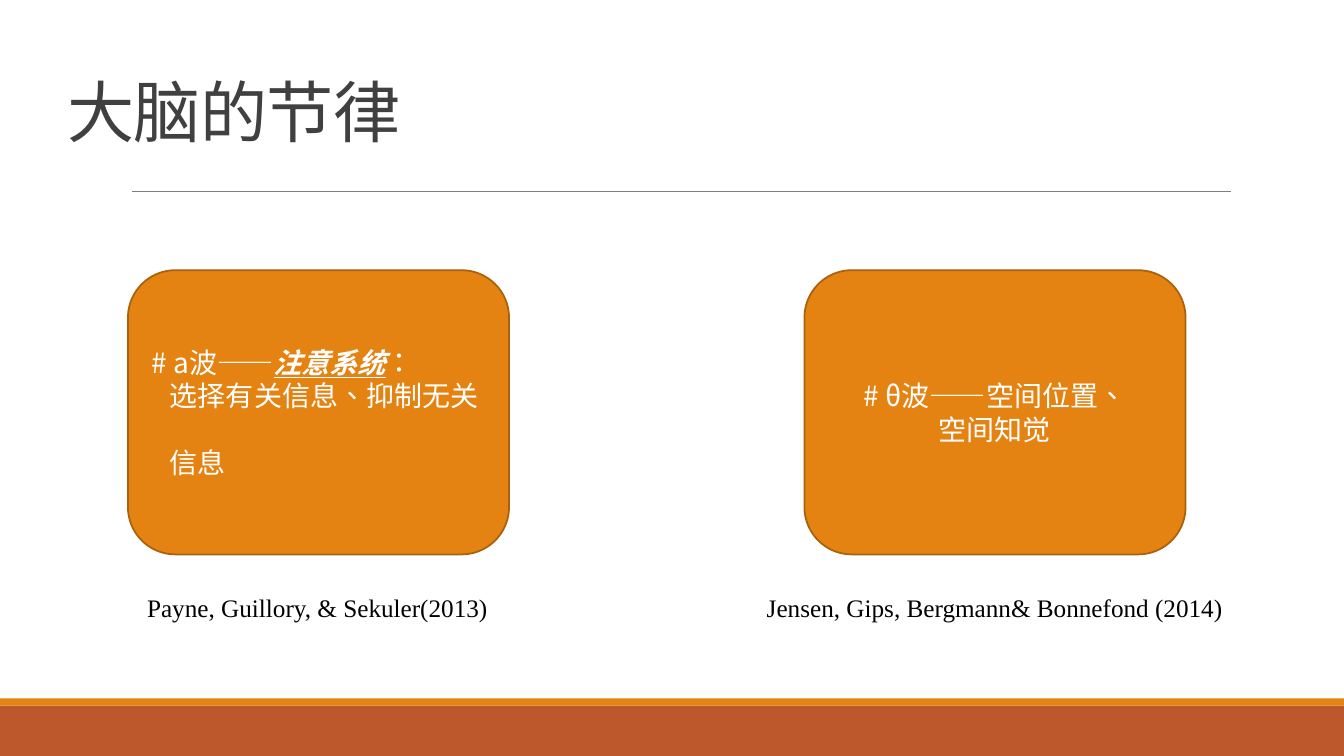
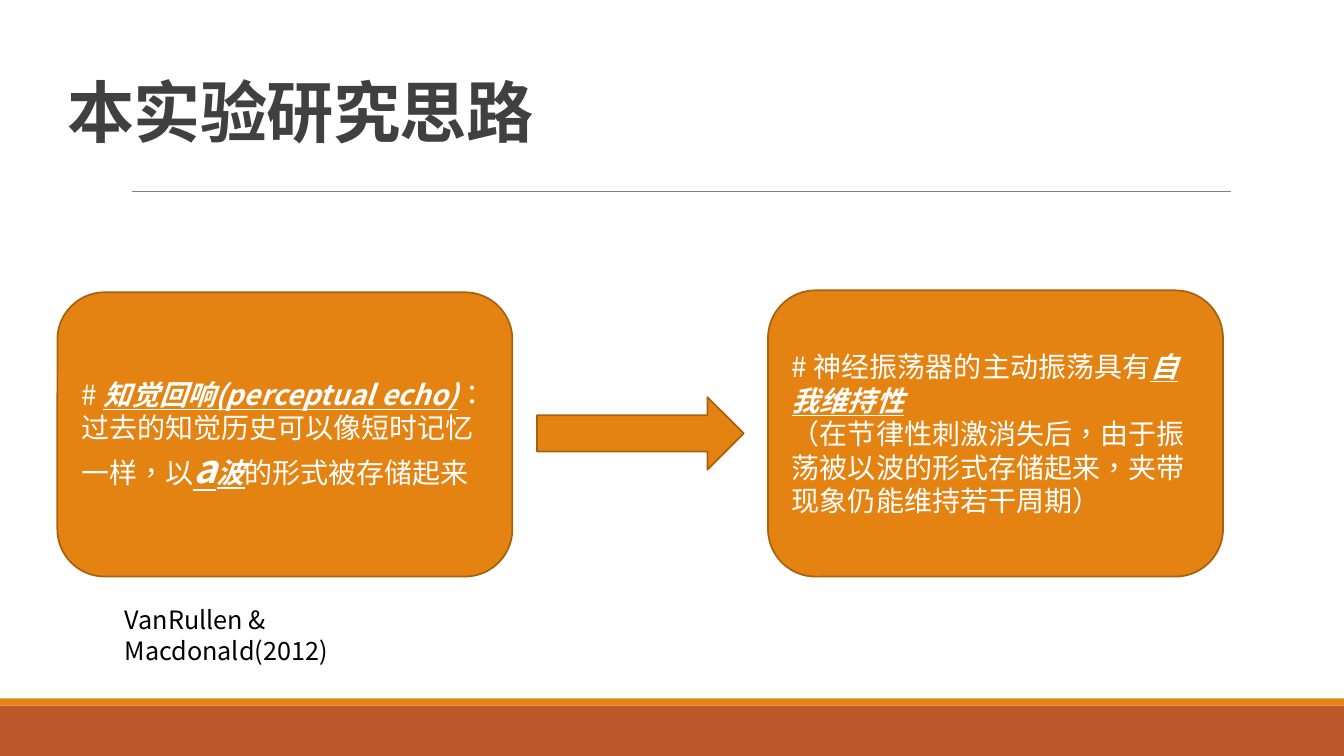
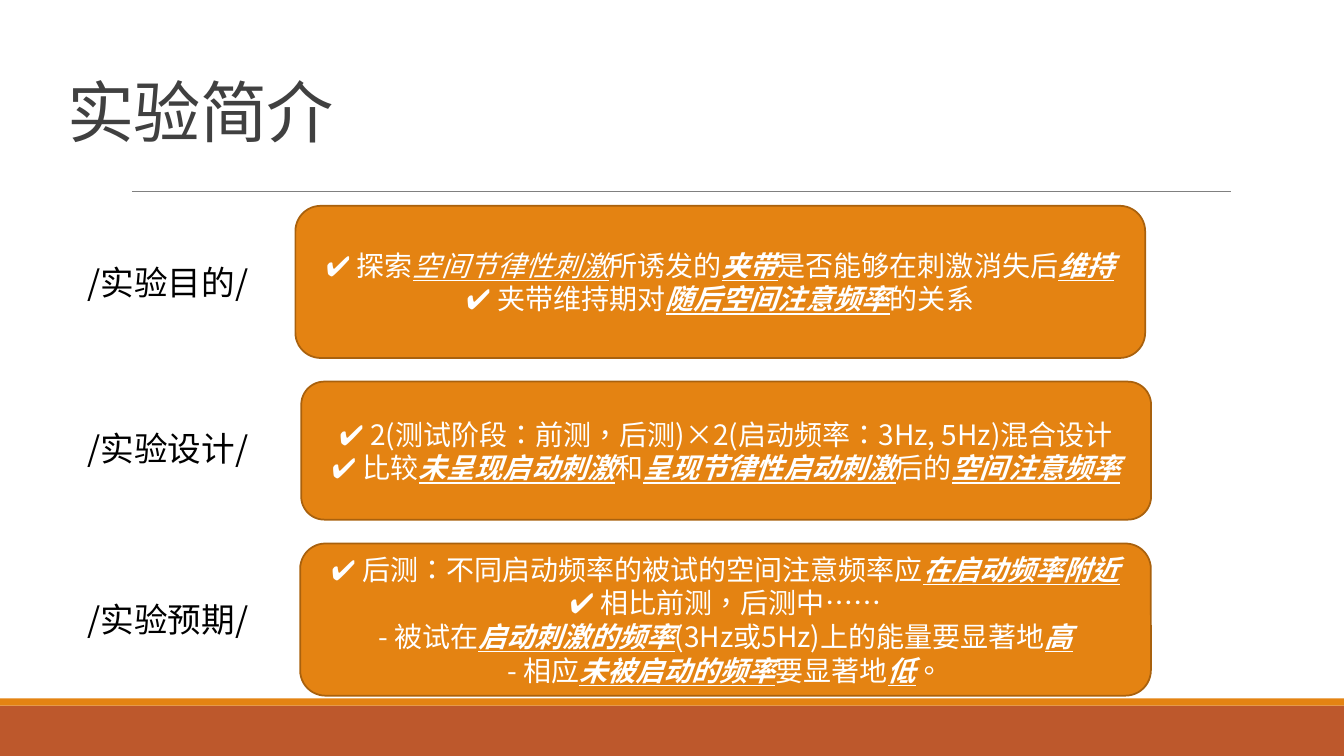
import pptx
import pptx.util
import pptx.dml.color
import pptx.enum.lang
import pptx.enum.shapes
import pptx.enum.text
from lxml import etree
from dataclasses import dataclass

Pt = pptx.util.Pt
Shape = pptx.enum.shapes.MSO_SHAPE
Align = pptx.enum.text.PP_ALIGN
Anchor = pptx.enum.text.MSO_ANCHOR
Lang = pptx.enum.lang.MSO_LANGUAGE_ID


@dataclass(frozen=True)
class Theme:
    rust: str = "BD582C"
    amber: str = "E48312"
    edge: str = "A9610D"
    rule: str = "808080"
    head: str = "404040"
    ink: str = "000000"
    white: str = "FFFFFF"
    sans: str = "Noto Sans CJK SC"
    latin: str = "Calibri"
    serif: str = "Times New Roman"
    title: int = 48
    large: int = 28
    label: int = 24
    body: int = 20
    cite: int = 18


T = Theme()
WIDE, HIGH = 960, 540

# A paragraph is a list of runs: plain text, or (text, style).
# Styles: "key" is bold italic underlined, "soft" lacks the bold, "big" is a larger key.
SLIDES = [
    {
        "title": ("大脑的节律", T.latin, False),
        "cards": [
            ((91.4, 193, 272.2, 203), Align.LEFT, [
                ["# a波——", ("注意系统", "key"), "："],
                ["选择有关信息、抑制无关"],
                ["信息"],
            ], {1: (13, 0), 2: (13, 24)}),
            ((574.6, 193, 272.2, 203), Align.CENTER, [
                ["# θ波——空间位置、"],
                ["空间知觉"],
            ], {}),
        ],
        "notes": [
            ((98, 419.8, 260, 29), "Payne, Guillory, & Sekuler(2013)", T.serif, T.cite, Align.JUSTIFY),
            ((540.6, 419.8, 342, 29), "Jensen, Gips, Bergmann& Bonnefond (2014)",
             T.serif, T.cite, Align.JUSTIFY),
        ],
    },
    {
        "title": ("本实验研究思路", T.sans, True),
        "cards": [
            ((548.6, 207.4, 325, 204.5), Align.LEFT, [
                ["# 神经振荡器的主动振荡具有", ("自我维持性", "key")],
                ["（在节律性刺激消失后，由于振荡被以波的形式存储起来，夹带现象仍能维持若干周期）"],
            ], {}),
            ((41, 208.8, 325, 203), Align.LEFT, [
                ["# ", ("知觉回响(perceptual echo)", "key"),
                 "：过去的知觉历史可以像短时记忆一样，以", ("a", "big"), ("波", "key"),
                 "的形式被存储起来"],
            ], {}),
        ],
        "notes": [
            ((82, 428.4, 242.6, 29), "VanRullen & Macdonald(2012)", T.sans, T.cite, Align.LEFT),
        ],
        "arrow": (383.6, 283.7, 147.6, 51.8),
    },
    {
        "title": ("实验简介", T.latin, False),
        "cards": [
            ((211, 147, 607, 108.7), Align.CENTER, [
                ["✔ 探索", ("空间节律性刺激", "soft"), "所诱发的", ("夹带", "key"),
                 "是否能够在刺激消失后", ("维持", "key")],
                ["✔ 夹带维持期对", ("随后空间注意频率", "key"), "的关系"],
            ], {}),
            ((215.2, 272.6, 607, 98.6), Align.CENTER, [
                ["✔ 2(测试阶段：前测，后测)×2(启动频率：3Hz, 5Hz)混合设计"],
                ["✔ 比较", ("未呈现启动刺激", "key"), "和", ("呈现节律性启动刺激", "key"),
                 "后的", ("空间注意频率", "key")],
            ], {}),
            ((214.4, 388.2, 607.7, 108.7), Align.CENTER, [
                ["✔ 后测：不同启动频率的被试的空间注意频率应", ("在启动频率附近", "key")],
                ["✔ 相比前测，后测中⋯⋯"],
                ["- 被试在", ("启动刺激的频率", "key"), "(3Hz或5Hz)上的能量要显著地", ("高", "key")],
                ["- 相应", ("未被启动的频率", "key"), "要显著地", ("低", "key"), "。"],
            ], {}),
        ],
        "notes": [
            ((55.4, top, 134.6, 36), text, T.sans, T.label, Align.LEFT)
            for top, text in ((183.6, "/实验目的/"), (302.4, "/实验设计/"), (424, "/实验预期/"))
        ],
    },
]


def rgb(code):
    return pptx.dml.color.RGBColor.from_string(code)


def dress(run, face, size, color, bold=False):
    """Set the type of a run for both Latin and Chinese letters."""
    font = run.font
    font.name, font.size, font.bold = face, Pt(size), bold
    font.color.rgb = rgb(color)
    font.language_id = Lang.TRADITIONAL_CHINESE
    props = run._r.get_or_add_rPr()
    east = etree.Element(pptx.oxml.ns.qn("a:ea"), typeface=T.sans)
    props.find(pptx.oxml.ns.qn("a:latin")).addnext(east)


def block(slide, kind, area, fill, edge=None):
    shape = slide.shapes.add_shape(kind, *map(Pt, area))
    shape.shadow.inherit = False
    shape.fill.solid()
    shape.fill.fore_color.rgb = rgb(fill)
    if edge:
        shape.line.color.rgb = rgb(edge)
        shape.line.width = Pt(1.25)
    else:
        shape.line.fill.background()
    return shape


def label(slide, area, text, face, size, color, align=Align.LEFT, bold=False):
    """Add a text box of one paragraph and return its frame."""
    frame = slide.shapes.add_textbox(*map(Pt, area)).text_frame
    frame.word_wrap = True
    frame.text = text
    para = frame.paragraphs[0]
    para.alignment = align
    dress(para.runs[0], face, size, color, bold)
    return frame


def card(slide, area, align, paras, shifts):
    """Add a rounded box; shifts maps a paragraph to its indent and space before."""
    frame = block(slide, Shape.ROUNDED_RECTANGLE, area, T.amber, T.edge).text_frame
    frame.word_wrap = True
    frame.vertical_anchor = Anchor.MIDDLE
    for num, parts in enumerate(paras):
        para = frame.add_paragraph() if num else frame.paragraphs[0]
        para.alignment = align
        if num in shifts:
            indent, gap = shifts[num]
            para._p.get_or_add_pPr().set("marL", str(Pt(indent)))
            para.space_before = Pt(gap)
        for part in parts:
            text, style = (part, "") if isinstance(part, str) else part
            run = para.add_run()
            run.text = text
            dress(run, T.sans, T.large if style == "big" else T.body, T.white,
                  style in ("key", "big"))
            run.font.italic = run.font.underline = bool(style)


def base(slide, text, face, bold):
    """Draw the bands, the rule and the title."""
    block(slide, Shape.RECTANGLE, (0, 504, WIDE, 36), T.rust)
    block(slide, Shape.RECTANGLE, (0, 498.8, WIDE, 5.2), T.amber)
    rule = slide.shapes.add_connector(
        pptx.enum.shapes.MSO_CONNECTOR.STRAIGHT, Pt(94.3), Pt(136.6), Pt(879), Pt(136.6))
    rule.line.color.rgb = rgb(T.rule)
    rule.line.width = Pt(0.5)
    etree.SubElement(rule._element.spPr, pptx.oxml.ns.qn("a:effectLst"))
    frame = label(slide, (41, 35.3, 832.3, 76.3), text, face, T.title, T.head, bold=bold)
    frame.vertical_anchor = Anchor.BOTTOM
    para = frame.paragraphs[0]
    para.line_spacing = 0.85
    para.runs[0]._r.get_or_add_rPr().set("spc", "-50")


def main():
    deck = pptx.Presentation()
    deck.slide_width, deck.slide_height = Pt(WIDE), Pt(HIGH)
    for page in SLIDES:
        slide = deck.slides.add_slide(deck.slide_layouts[6])
        base(slide, *page["title"])
        for item in page["cards"]:
            card(slide, *item)
        for area, text, face, size, align in page["notes"]:
            label(slide, area, text, face, size, T.ink, align)
        if "arrow" in page:
            block(slide, Shape.RIGHT_ARROW, page["arrow"], T.amber, T.edge)
    deck.save("out.pptx")


if __name__ == "__main__":
    main()
